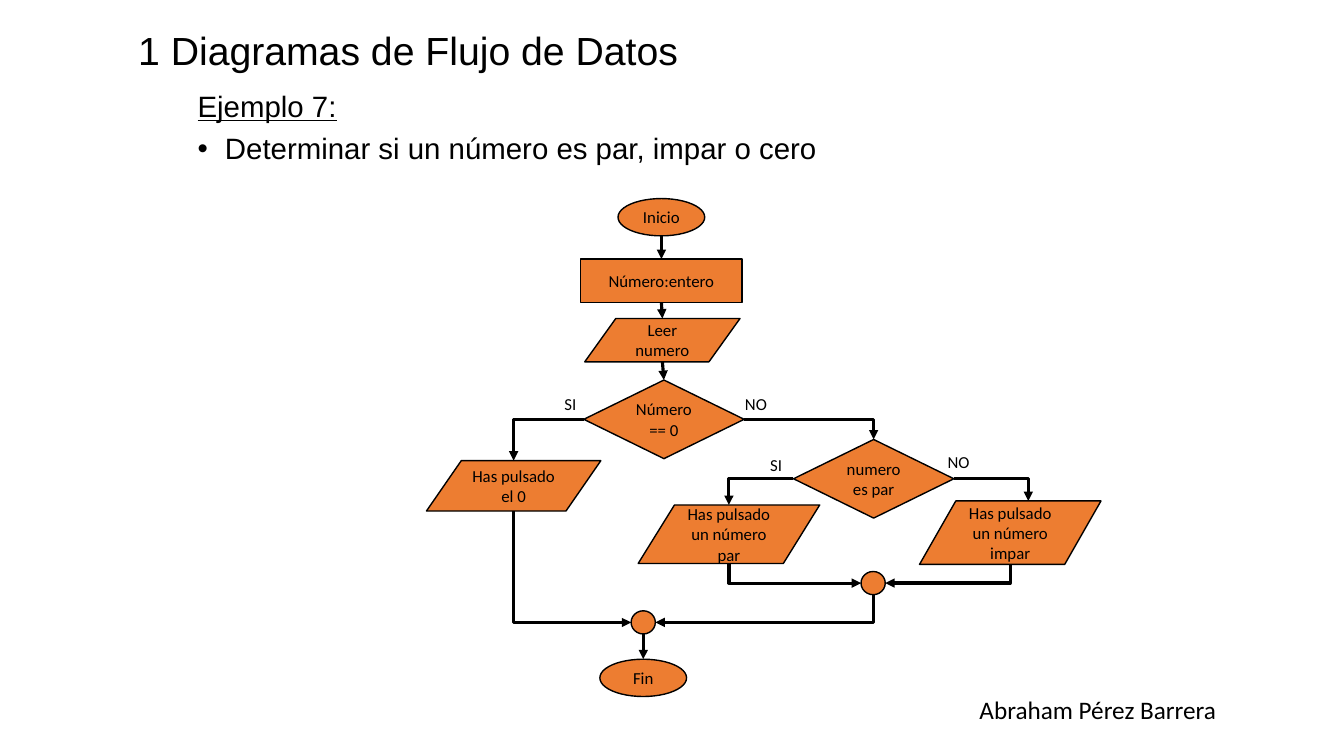
from lxml import etree
from pptx import Presentation
from pptx.dml.color import RGBColor
from pptx.enum.shapes import MSO_CONNECTOR, MSO_SHAPE
from pptx.enum.text import MSO_ANCHOR, MSO_AUTO_SIZE, PP_ALIGN
from pptx.oxml.ns import qn
from pptx.util import Inches, Pt

OVAL, STEP = MSO_SHAPE.OVAL, MSO_SHAPE.FLOWCHART_PROCESS
DATA, TEST = MSO_SHAPE.FLOWCHART_DATA, MSO_SHAPE.FLOWCHART_DECISION
LINE, ELBOW = MSO_CONNECTOR.STRAIGHT, MSO_CONNECTOR.ELBOW
LEFT, MID, RIGHT = PP_ALIGN.LEFT, PP_ALIGN.CENTER, PP_ALIGN.RIGHT
TOP, CENTER = MSO_ANCHOR.TOP, MSO_ANCHOR.MIDDLE
NO_FIT = MSO_AUTO_SIZE.NONE
BLACK, ORANGE = "000000", "ED7D31"

# Content
TITLE = "1 Diagramas de Flujo de Datos"
HEAD = "Ejemplo 7:"
TASK = " Determinar si un número es par, impar o cero"
AUTHOR = "Abraham Pérez Barrera"

# name: kind, text, left, top, width, height
NODES = {
    "start": (OVAL, "Inicio", 6.13, 1.97, 0.86, 0.37),
    "declare": (STEP, "Número:entero", 5.76, 2.57, 1.6, 0.43),
    "read": (DATA, "Leer numero", 5.8, 3.16, 1.54, 0.43),
    "is zero": (TEST, "Número == 0", 5.79, 3.77, 1.59, 0.78),
    "zero": (DATA, "Has pulsado el 0", 4.23, 4.57, 1.73, 0.5),
    "is even": (TEST, "numero es par", 7.87, 4.36, 1.59, 0.78),
    "even": (DATA, "Has pulsado un número par", 6.33, 5.01, 1.8, 0.58),
    "odd": (DATA, "Has pulsado un número impar", 9.12, 4.97, 1.8, 0.63),
    "join odd": (OVAL, "", 8.54, 5.67, 0.24, 0.23),
    "join all": (OVAL, "", 6.26, 6.06, 0.24, 0.23),
    "end": (OVAL, "Fin", 5.95, 6.54, 0.86, 0.37),
}
# Straight arrows run from bottom to top
FLOWS = [("start", "declare"), ("declare", "read"), ("read", "is zero"),
         ("join all", "end")]
# from, side, to, side, shift of the end along the top edge
BENDS = [
    ("is zero", "left", "zero", "top", 0),
    ("is zero", "right", "is even", "top", 0),
    ("is even", "left", "even", "top", 0),
    ("is even", "right", "odd", "top", 0.18),
    ("zero", "bottom", "join all", "left", 0),
    ("even", "bottom", "join odd", "left", 0),
    ("odd", "bottom", "join odd", "right", 0),
    ("join odd", "bottom", "join all", "right", 0),
]
# text, left, top, width
LABELS = [("SI", 5.5, 3.86, 0.42), ("NO", 7.29, 3.86, 0.5),
          ("SI", 7.54, 4.46, 0.42), ("NO", 9.3, 4.43, 0.5)]
SIDES = {"top": (0.5, 0), "left": (0, 0.5), "bottom": (0.5, 1), "right": (1, 0.5)}


def color(code):
    return RGBColor.from_string(code)


def apply(part, **values):
    for name, value in values.items():
        setattr(part, name, value)


def write(para, text, size, font="Calibri", line=False, **form):
    run = para.add_run()
    run.text = text
    apply(run.font, name=font, size=Pt(size), underline=line)
    run.font.color.rgb = color(BLACK)
    apply(para, **form)


def indent(para, size, mark=None):
    props = para._p.get_or_add_pPr()
    props.set("marL", str(Inches(size)))
    props.set("indent", str(-Inches(size)))
    if mark:
        etree.SubElement(props, qn("a:buChar")).set("char", mark)
    else:
        etree.SubElement(props, qn("a:buNone"))


def place(shape, left, top, width, height):
    apply(shape, left=Inches(left), top=Inches(top),
          width=Inches(width), height=Inches(height))


def note(text, box, size, align):
    frame = slide.shapes.add_textbox(*map(Inches, box)).text_frame
    frame.word_wrap = True
    write(frame.paragraphs[0], text, size, alignment=align)


def point(name, side):
    left, top, width, height = NODES[name][2:]
    across, down = SIDES[side]
    return left + across * width, top + down * height


def arrow(kind, begin, end):
    link = slide.shapes.add_connector(kind, *map(Inches, begin + end))
    link.line.width = Pt(2.25)
    link.line.color.rgb = color(BLACK)
    etree.SubElement(link.line._get_or_add_ln(), qn("a:tailEnd")).set("type", "triangle")
    etree.SubElement(link._element.spPr, qn("a:effectLst"))
    return link


def bend(begin, end, upright):
    link = arrow(ELBOW, begin, end)
    props = link._element.spPr
    props.find(qn("a:prstGeom")).set("prst", "bentConnector2")
    if upright:
        # A quarter turn makes the route leave vertically
        (x1, y1), (x2, y2) = begin, end
        wide, high = abs(y2 - y1), abs(x2 - x1)
        place(link, (x1 + x2 - wide) / 2, (y1 + y2 - high) / 2, wide, high)
        frame = props.find(qn("a:xfrm"))
        frame.set("flipH", "1" if x2 > x1 else "0")
        link.rotation = 270 if x2 > x1 else 90


deck = Presentation()
apply(deck, slide_width=Inches(13.33), slide_height=Inches(7.5))
slide = deck.slides.add_slide(deck.slide_layouts[1])

# Title and body
title, body = slide.placeholders
place(title, 1.27, 0.25, 9.07, 0.55)
place(body, 1.86, 0.86, 8.35, 1.1)
for shape, anchor in ((title, CENTER), (body, TOP)):
    apply(shape.text_frame, word_wrap=True, auto_size=NO_FIT, vertical_anchor=anchor)
para = title.text_frame.paragraphs[0]
write(para, TITLE, 28, "Arial", alignment=LEFT, line_spacing=0.9)
indent(para, 0.81)
frame = body.text_frame
rows = [(frame.paragraphs[0], HEAD, True, 0, None),
        (frame.add_paragraph(), TASK, False, 0.19, "•")]
for para, text, line, inset, mark in rows:
    write(para, text, 21, "Arial", line, line_spacing=0.9, space_before=Pt(7.5))
    indent(para, inset, mark)

# Nodes
shapes = {}
for name, (kind, text, *box) in NODES.items():
    node = shapes[name] = slide.shapes.add_shape(kind, *map(Inches, box))
    node.shadow.inherit = False
    node.fill.solid()
    node.fill.fore_color.rgb = color(ORANGE)
    node.line.color.rgb = color(BLACK)
    node.line.width = Pt(1)
    if text:
        apply(node.text_frame, word_wrap=True, vertical_anchor=CENTER)
        write(node.text_frame.paragraphs[0], text, 12, alignment=MID)

# Arrows
for first, last in FLOWS:
    link = arrow(LINE, point(first, "bottom"), point(last, "top"))
    if NODES[first][0] in (STEP, TEST):
        link.begin_connect(shapes[first], 2)
    if NODES[last][0] in (STEP, TEST):
        link.end_connect(shapes[last], 0)
for first, out, last, into, shift in BENDS:
    x, y = point(last, into)
    bend(point(first, out), (x + shift, y), out == "bottom")

# Branch labels and author
for text, left, top, width in LABELS:
    note(text, (left, top, width, 0.3), 12, LEFT)
note(AUTHOR, (7.37, 6.84, 4.79, 0.4), 18, RIGHT)

deck.save("out.pptx")
